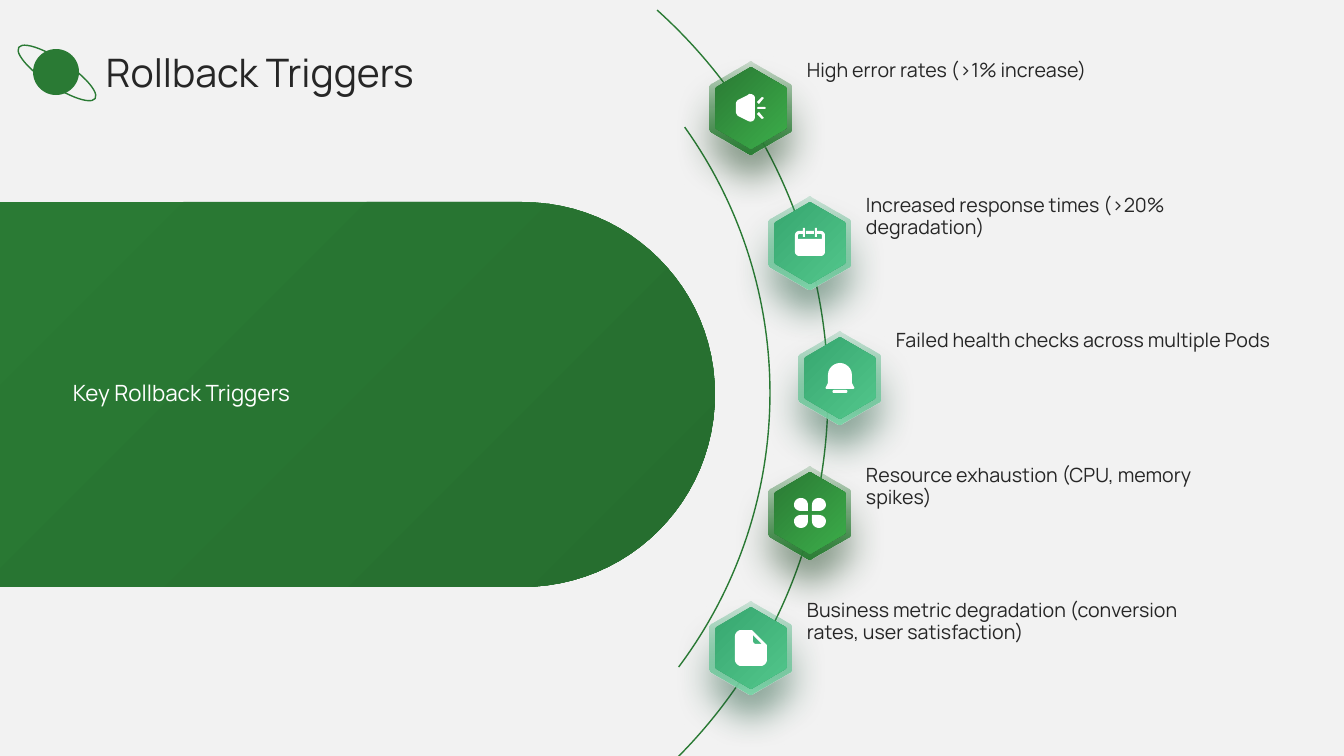
import lxml.etree
import pptx
import pptx.dml.color
import pptx.enum.shapes
import pptx.enum.text
import pptx.oxml.ns
import pptx.util

PX = 914400 / 100.8  # EMU in one px
TITLE = "Rollback Triggers"
PANEL_LABEL = "Key Rollback Triggers"
TRIGGERS = [  # text, icon, palette, centre x
    ("High error rates (>1% increase)", "megaphone", "green", 751),
    ("Increased response times (>20% degradation)", "calendar", "mint", 810),
    ("Failed health checks across multiple Pods", "bell", "mint", 840),
    ("Resource exhaustion (CPU, memory spikes)", "clover", "green", 810),
    ("Business metric degradation (conversion rates, user satisfaction)",
     "page", "mint", 751),
]
FIRST_Y, STEP_Y = 108, 135
COLORS = {"ground": "F2F2F2", "text": "262626", "white": "FFFFFF",
          "green": "2A7A34", "panel_end": "266E2F"}
PALETTES = {
    "green": {"rim": ("2A7A34", "2C7F36"), "face": ("2A7A34", "3CAD4A"), "shadow": "153D1A"},
    "mint": {"rim": ("37A76F", "7DD4A9"), "face": ("37A76F", "52C68C"), "shadow": "1C5438"},
}
ARCS = [  # left, top, diameter, start and end in degrees
    (-203, -122, 1031, 311.95, 47.44),
    (-144, -64, 914, 324.43, 36.85),
]

# A contour lists points; six numbers make a cubic curve to the last pair.
PANEL = [[(0, 202), (522, 202), (629, 202, 715, 288, 715, 394),
          (715, 501, 629, 587, 522, 587), (0, 587)]]
HEXAGON = [[
    (38, -25), (2, -46), (1, -47, -1, -47, -2, -46),
    (-38, -25), (-40, -24, -41, -23, -41, -21),
    (-41, 21), (-41, 23, -40, 24, -38, 25),
    (-2, 46), (-1, 47, 1, 47, 2, 46),
    (38, 25), (40, 24, 41, 23, 41, 21),
    (41, -21), (41, -23, 40, -24, 38, -25),
]]
PETAL = [(2, 2), (9, 2), (13, 2, 16, 5, 16, 8), (16, 12, 13, 15, 9, 15),
         (5, 15, 2, 12, 2, 8)]
RAY = [(6, -6), (11, -11), (13, -10), (8, -4)]
PIN = [(5, -15), (7, -15), (7, -6), (5, -6)]


def mirrored(contour, sx, sy):
    return [tuple(v * (sy if i % 2 else sx) for i, v in enumerate(item)) for item in contour]


ICONS = {
    "megaphone": [
        [(-1, -14), (2, -14, 4, -12, 4, -10), (4, 9), (4, 12, 1, 15, -3, 13),
         (-13, 8), (-14, 7, -15, 5, -15, 4), (-15, -4),
         (-15, -6, -14, -7, -13, -8), (-3, -13), (-2, -14, -2, -14, -1, -14)],
        [(7, -1), (14, -1), (15, 0), (14, 1), (7, 1), (6, 0)],
        RAY, mirrored(RAY, 1, -1)],
    "calendar": [
        [(-4, -12), (4, -12), (4, -9), (-4, -9)],
        [(-11, -12), (-7, -12), (-7, -9), (-11, -9), (-12, -8), (-12, -4),
         (12, -4), (12, -8), (11, -9), (7, -9), (7, -12), (11, -12),
         (13, -12, 15, -10, 15, -8), (15, 9), (15, 11, 13, 13, 11, 13),
         (-11, 13), (-13, 13, -15, 11, -15, 9), (-15, -8),
         (-15, -10, -13, -12, -11, -12)],
        PIN, mirrored(PIN, -1, 1)],
    "bell": [
        [(0, -15), (6, -15, 12, -10, 12, -3), (12, 5), (14, 9),
         (15, 10, 14, 11, 13, 11), (-13, 11), (-14, 11, -15, 10, -14, 9),
         (-12, 5), (-12, -3), (-12, -10, -6, -15, 0, -15)],
        [(-6, 12), (6, 12), (8, 12, 8, 15, 6, 15), (-6, 15), (-8, 15, -8, 12, -6, 12)]],
    "clover": [mirrored(PETAL, sx, sy) for sx in (1, -1) for sy in (1, -1)],
    "page": [
        [(-10, -18), (1, -18), (15, -4), (16, -3), (16, 12),
         (16, 15, 13, 18, 10, 18), (-10, 18), (-13, 18, -16, 15, -16, 12),
         (-16, -12), (-16, -15, -13, -18, -10, -18)],
        [(2, -13), (2, -7), (2, -5, 4, -4, 5, -4), (11, -4)]],
}
FRAME = {"margin_left": 0, "margin_right": 0, "margin_top": 0, "margin_bottom": 0,
         "word_wrap": True, "auto_size": pptx.enum.text.MSO_AUTO_SIZE.NONE}
MIDDLE = pptx.enum.text.MSO_ANCHOR.MIDDLE
TOP = pptx.enum.text.MSO_ANCHOR.TOP
SHAPE = pptx.enum.shapes.MSO_SHAPE


def emu(*lengths):
    return [round(v * PX) for v in lengths]


def rgb(hex_color):
    return pptx.dml.color.RGBColor.from_string(hex_color)


def write(box, text, size, color, anchor):
    frame = box.text_frame
    for name, value in {**FRAME, "vertical_anchor": anchor, "text": text}.items():
        setattr(frame, name, value)
    line = frame.paragraphs[0]
    line.alignment = pptx.enum.text.PP_ALIGN.LEFT
    line.line_spacing = 0.9
    for name, value in {"name": "Manrope", "size": pptx.util.Pt(size), "bold": False}.items():
        setattr(line.font, name, value)
    line.font.color.rgb = rgb(COLORS[color])


def trace(contour):
    """Turn a contour into points, with each curve cut into short steps."""
    points = []
    for item in contour:
        if len(item) == 2:
            points.append(item)
            continue
        ends = [points[-1], item[:2], item[2:4], item[4:]]
        steps = 24 if max(item) > 100 else 6
        for t in (k / steps for k in range(1, steps + 1)):
            weights = ((1 - t) ** 3, 3 * t * (1 - t) ** 2, 3 * t * t * (1 - t), t ** 3)
            points.append(tuple(sum(w * p[axis] for w, p in zip(weights, ends))
                                for axis in (0, 1)))
    return points


def outline(shapes, contours, x=0, y=0, zoom=1):
    builder = None
    for contour in contours:
        points = [emu(x + px * zoom, y + py * zoom) for px, py in trace(contour)]
        if builder is None:
            builder = shapes.build_freeform(*points[0])
        else:
            builder.move_to(*points[0])
        builder.add_line_segments(points[1:], close=True)
    shape = builder.convert_to_shape()
    shape.shadow.inherit = False
    shape.line.fill.background()
    return shape


def shade(shape, colors, angle):
    """Fill with a gradient; the angle runs clockwise."""
    shape.fill.gradient()
    shape.fill.gradient_angle = 360 - angle
    for stop, color in zip(shape.fill.gradient_stops, colors):
        stop.color.rgb = rgb(color)


def add_child(parent, tag, **attributes):
    return lxml.etree.SubElement(parent, pptx.oxml.ns.qn(tag),
                                 {k: str(v) for k, v in attributes.items()})


def soften_rim(rim, shadow_color):
    """Make the first gradient stop see-through and drop a soft shadow."""
    properties = rim._element.spPr
    first_color = next(properties.iter(pptx.oxml.ns.qn("a:srgbClr")))
    add_child(first_color, "a:alpha", val=20000)
    effects = properties.find(pptx.oxml.ns.qn("a:effectLst"))
    shadow = add_child(effects, "a:outerShdw", blurRad=pptx.util.Pt(26),
                       dist=pptx.util.Pt(16), dir=5400000, rotWithShape=0)
    add_child(add_child(shadow, "a:srgbClr", val=shadow_color), "a:alpha", val=65000)


def add_ring(shapes, kind, *box):
    ring = shapes.add_shape(kind, *emu(*box))
    ring.shadow.inherit = False
    ring.fill.background()
    ring.line.color.rgb = rgb(COLORS["green"])
    ring.line.width = pptx.util.Pt(1)
    return ring


def main():
    deck = pptx.Presentation()
    deck.slide_width, deck.slide_height = emu(1344, 756)
    slide = deck.slides.add_slide(deck.slide_layouts.get_by_name("Title Only"))
    slide.background.fill.solid()
    slide.background.fill.fore_color.rgb = rgb(COLORS["ground"])
    shapes = slide.shapes

    title = shapes.title
    title.left, title.top, title.width, title.height = emu(106, 49, 1176, 51)
    write(title, TITLE, 28, "text", MIDDLE)

    for left, top, size, start, end in ARCS:
        arc = add_ring(shapes, SHAPE.ARC, left, top, size, size)
        for i, degrees in enumerate((start, end)):
            arc.adjustments[i] = degrees * 0.6
    shade(outline(shapes, PANEL), (COLORS["green"], COLORS["panel_end"]), 45)
    write(shapes.add_textbox(*emu(73, 346, 560, 97)), PANEL_LABEL, 16, "white", MIDDLE)

    for row, (text, icon, palette, x) in enumerate(TRIGGERS):
        y = FIRST_Y + row * STEP_Y
        tones = PALETTES[palette]
        rim = outline(shapes, HEXAGON, x, y)
        shade(rim, tones["rim"], 90)
        soften_rim(rim, tones["shadow"])
        shade(outline(shapes, HEXAGON, x, y, 0.87), tones["face"], 45)
        symbol = outline(shapes, ICONS[icon], x, y)
        symbol.fill.solid()
        symbol.fill.fore_color.rgb = rgb(COLORS["white"])
        write(shapes.add_textbox(*emu(x + 56, y - 47, 391, 91)), text, 14, "text", TOP)

    planet = shapes.add_shape(SHAPE.OVAL, *emu(33, 49, 46, 46))
    planet.shadow.inherit = False
    planet.fill.solid()
    planet.fill.fore_color.rgb = rgb(COLORS["green"])
    planet.line.fill.background()
    add_ring(shapes, SHAPE.OVAL, 11, 60, 92, 26).rotation = 33.8
    deck.save("out.pptx")


if __name__ == "__main__":
    main()
